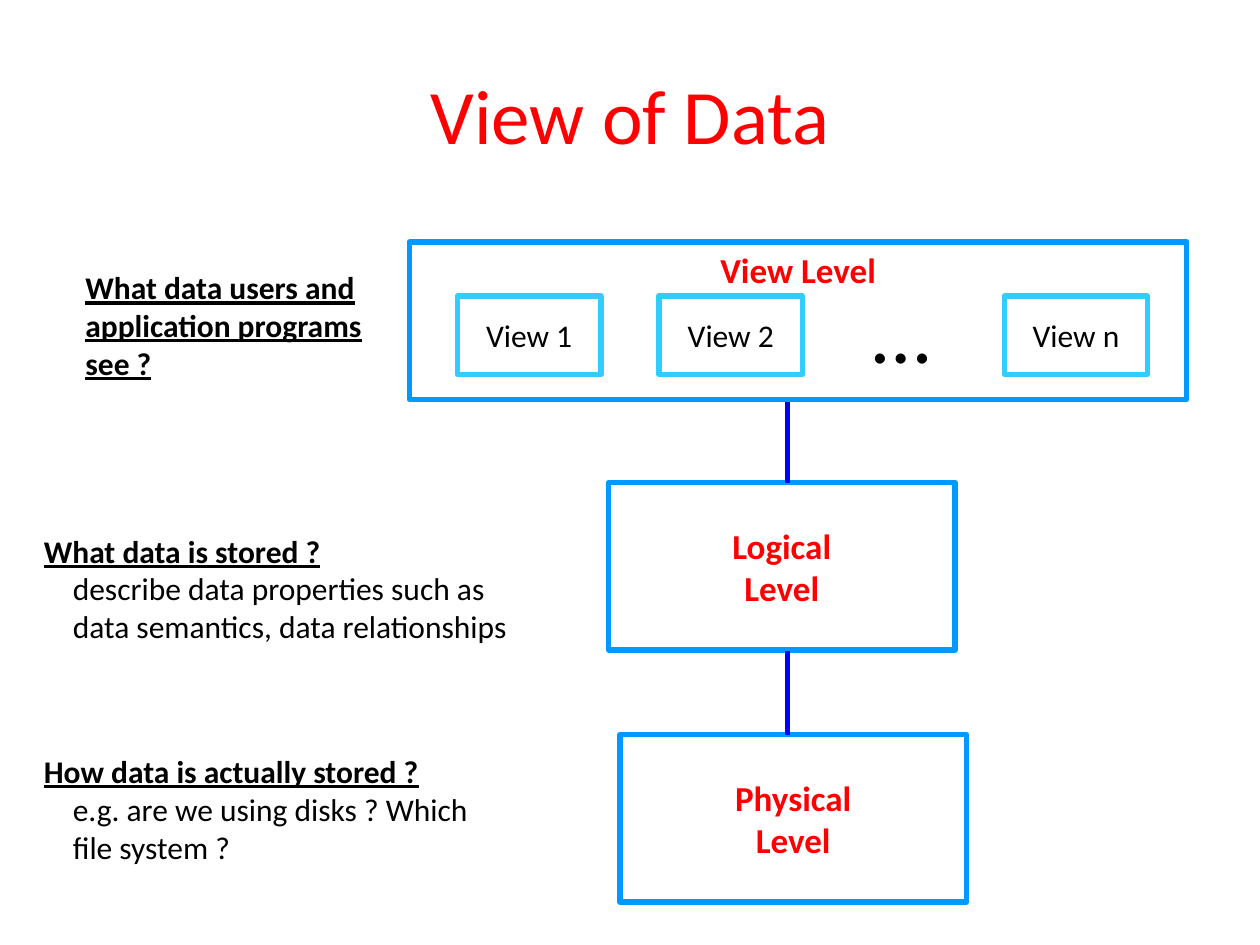
from lxml import etree
from pptx import Presentation
from pptx.dml.color import RGBColor
from pptx.enum.shapes import MSO_CONNECTOR, MSO_SHAPE
from pptx.enum.text import MSO_ANCHOR, PP_ALIGN
from pptx.oxml.ns import qn
from pptx.util import Inches, Pt

RECTANGLE = MSO_SHAPE.RECTANGLE
STRAIGHT = MSO_CONNECTOR.STRAIGHT
TOP, MIDDLE = MSO_ANCHOR.TOP, MSO_ANCHOR.MIDDLE
LEFT, CENTER = PP_ALIGN.LEFT, PP_ALIGN.CENTER

COLORS = {
    "heading": "FF0000",
    "body": "000000",
    "level": "0099FF",
    "view": "33CCFF",
    "link": "0000FF",
}
LINE_WIDTH = Pt(3)
DETAIL_INDENT = Inches(0.23)

TITLE = {"size": Pt(44), "color": "heading"}
LEVEL = {"size": Pt(20), "color": "heading", "bold": True}
VIEW = {"size": Pt(18), "color": "body"}
ELLIPSIS = {"size": Pt(48), "color": "body"}
QUESTION = {"size": Pt(18), "color": "body", "bold": True, "underline": True}
DETAIL = {"size": Pt(18), "color": "body"}


def rgb(name):
    return RGBColor.from_string(COLORS[name])


def write_lines(shape, lines, alignment, anchor):
    """Write one paragraph for each (text, format, indent) line."""
    frame = shape.text_frame
    frame.word_wrap = True
    frame.vertical_anchor = anchor
    for index, (text, text_format, indent) in enumerate(lines):
        paragraph = frame.paragraphs[0] if index == 0 else frame.add_paragraph()
        paragraph.alignment = alignment
        if indent:
            paragraph._p.get_or_add_pPr().set("marL", str(indent))
        run = paragraph.add_run()
        run.text = text
        run.font.name = "Calibri"
        for name, value in text_format.items():
            if name == "color":
                run.font.color.rgb = rgb(value)
            else:
                setattr(run.font, name, value)


def add_text(shapes, box, lines, alignment=LEFT, anchor=TOP):
    shape = shapes.add_textbox(*map(Inches, box))
    write_lines(shape, lines, alignment, anchor)


def add_box(shapes, box, line_color, texts, text_format, anchor=MIDDLE):
    shape = shapes.add_shape(RECTANGLE, *map(Inches, box))
    shape.shadow.inherit = False
    shape.fill.background()
    shape.line.color.rgb = rgb(line_color)
    shape.line.width = LINE_WIDTH
    write_lines(shape, [(text, text_format, 0) for text in texts], CENTER, anchor)


def add_link(shapes, x, top, bottom):
    connector = shapes.add_connector(
        STRAIGHT, Inches(x), Inches(top), Inches(x), Inches(bottom))
    connector.line.color.rgb = rgb("link")
    connector.line.width = LINE_WIDTH
    etree.SubElement(connector._element.spPr, qn("a:effectLst"))


def add_view_level(shapes):
    """Outer level with its row of views, kept together as a group."""
    group = shapes.add_group_shape().shapes
    add_box(group, (3.25, 1.92, 6.17, 1.25), "level", ["View Level"], LEVEL, TOP)
    for label, left in (("View 1", 3.63), ("View 2", 5.23), ("View n", 7.97)):
        add_box(group, (left, 2.35, 1.14, 0.62), "view", [label], VIEW)
    add_text(group, (6.83, 2.17, 0.69, 0.9), [("…", ELLIPSIS, 0)])


def add_question(shapes, box, question, details=()):
    lines = [(question, QUESTION, 0)]
    lines += [(detail, DETAIL, DETAIL_INDENT) for detail in details]
    add_text(shapes, box, lines)


def main():
    presentation = Presentation()
    presentation.slide_width = Inches(10)
    presentation.slide_height = Inches(7.5)
    slide = presentation.slides.add_slide(presentation.slide_layouts[6])
    shapes = slide.shapes

    # Title
    add_text(shapes, (0.5, 0.3, 9, 1.2), [("View of Data", TITLE, 0)], CENTER, MIDDLE)

    # Lower levels, and the links that lead down to them
    for name, left, top in (("Logical", 4.83, 3.83), ("Physical", 4.92, 5.83)):
        add_box(shapes, (left, top, 2.75, 1.33), "level", [name, "Level"], LEVEL)
        add_link(shapes, 6.25, top - 0.66, top)

    # View level
    add_view_level(shapes)

    # Questions that each level answers
    add_question(shapes, (0.58, 2.08, 2.5, 1),
                 "What data users and application programs see ?")
    add_question(shapes, (0.25, 4.17, 4.26, 1), "What data is stored ?",
                 ["describe data properties such as",
                  "data semantics, data relationships"])
    add_question(shapes, (0.25, 5.92, 3.99, 1), "How data is actually stored ?",
                 ["e.g. are we using disks ? Which", "file system ?"])

    presentation.save("out.pptx")


if __name__ == "__main__":
    main()
